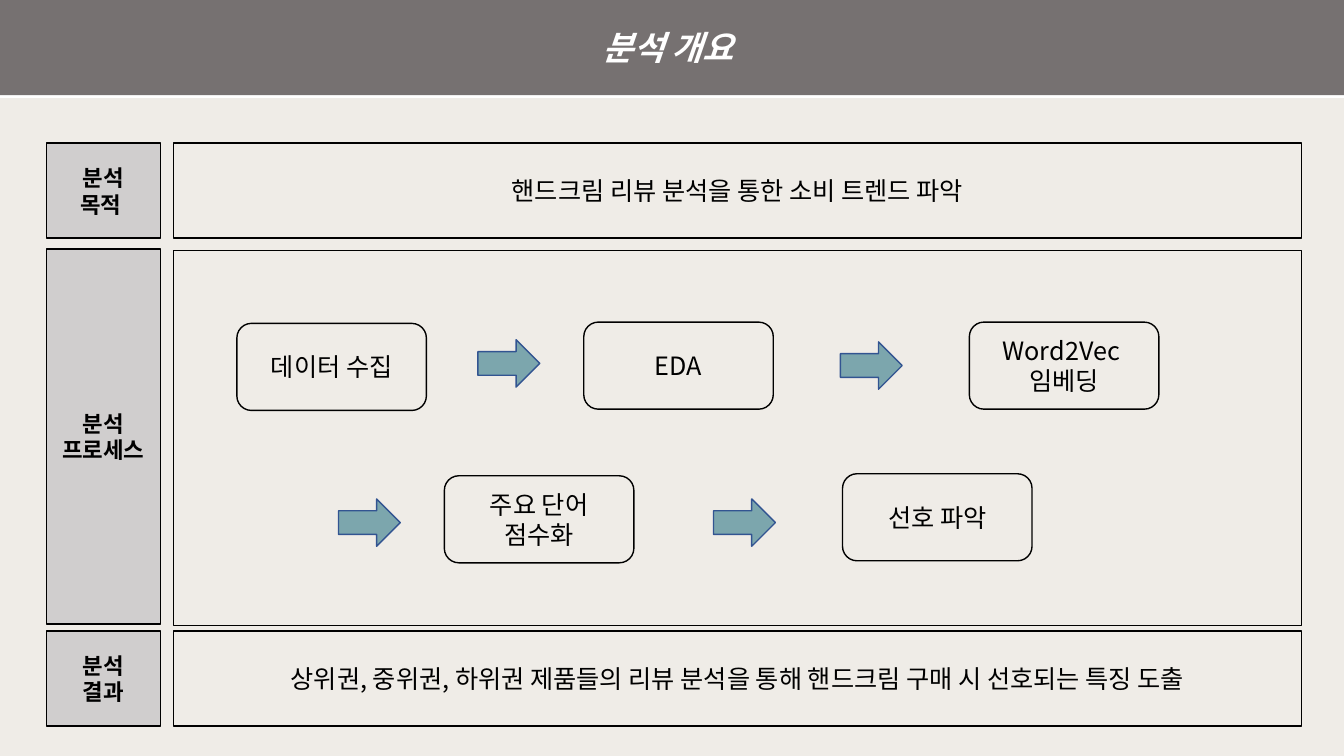
from lxml.etree import SubElement
from pptx import Presentation
from pptx.dml.color import RGBColor
from pptx.enum.shapes import MSO_SHAPE
from pptx.enum.text import MSO_ANCHOR, MSO_AUTO_SIZE, PP_ALIGN
from pptx.oxml.ns import qn
from pptx.util import Inches, Pt

FONT = "Noto Sans CJK KR"
COLORS = {
    "paper": "EFECE7",
    "band": "767171",
    "label": "D0CECE",
    "arrow": "7CA6AD",
    "arrow_line": "325491",
    "ink": "000000",
    "white": "FFFFFF",
}
COLUMNS, ROWS = 160, 90


def color(name):
    return RGBColor.from_string(COLORS[name])


def write_text(shape, text, size=18, ink="ink", bold=False, italic=False):
    """Centre the text in the shape, one paragraph per line."""
    frame = shape.text_frame
    frame.auto_size = MSO_AUTO_SIZE.NONE
    frame.word_wrap = True
    frame.vertical_anchor = MSO_ANCHOR.MIDDLE
    frame.text = text
    for paragraph in frame.paragraphs:
        paragraph.alignment = PP_ALIGN.CENTER
        for run in paragraph.runs:
            font = run.font
            font.name, font.size = FONT, Pt(size)
            font.bold, font.italic = bold, italic
            font.color.rgb = color(ink)
            SubElement(font._element, qn("a:ea"), typeface=FONT)


class SlideBuilder:
    """Places elements on a grid of COLUMNS by ROWS square cells."""

    def __init__(self, presentation):
        self.cell_width = presentation.slide_width / COLUMNS
        self.cell_height = presentation.slide_height / ROWS
        self.slide = presentation.slides.add_slide(presentation.slide_layouts[5])
        background = self.slide.background.fill
        background.solid()
        background.fore_color.rgb = color("paper")

    def area(self, column, row, width, height):
        return (round(column * self.cell_width), round(row * self.cell_height),
                round(width * self.cell_width), round(height * self.cell_height))

    def title(self, text, height):
        """Turn the title into a full-width band with a white lower edge."""
        title = self.slide.shapes.title
        title.left, title.top, title.width, title.height = self.area(0, 0, COLUMNS, height)
        title.fill.solid()
        title.fill.fore_color.rgb = color("band")
        write_text(title, text, size=24, ink="white", bold=True, italic=True)
        effects = SubElement(title._element.spPr, qn("a:effectLst"))
        shadow = SubElement(effects, qn("a:outerShdw"), blurRad="0", dist=str(Pt(2)),
                            dir="5400000", algn="t", rotWithShape="0")
        SubElement(shadow, qn("a:srgbClr"), val=COLORS["white"])

    def shape(self, kind, area, fill="paper", line="ink"):
        shape = self.slide.shapes.add_shape(kind, *self.area(*area))
        shape.shadow.inherit = False
        shape.fill.solid()
        shape.fill.fore_color.rgb = color(fill)
        shape.line.color.rgb = color(line)
        shape.line.width = Pt(1)
        return shape

    def section(self, label, content, label_row, content_row, height):
        """Draw a grey label on the left and its wide panel on the right."""
        label_box = self.shape(MSO_SHAPE.RECTANGLE, (5.52, label_row, 13.6, height), "label")
        write_text(label_box, label, size=16, bold=True)
        panel = self.shape(MSO_SHAPE.RECTANGLE, (20.64, content_row, 134.28, height))
        if content:
            write_text(panel, content)

    def step(self, text, column, row):
        box = self.shape(MSO_SHAPE.ROUNDED_RECTANGLE, (column, row, 22.56, 10.36))
        write_text(box, text)

    def arrow(self, column, row):
        self.shape(MSO_SHAPE.RIGHT_ARROW, (column, row, 7.36, 5.64), "arrow", "arrow_line")


SECTIONS = [
    ("분석\n목적 ", "핸드크림 리뷰 분석을 통한 소비 트렌드 파악", 17.04, 17.04, 11.32),
    ("분석\n프로세스", "", 29.64, 29.8, 44.64),
    ("분석\n결과",
     "상위권, 중위권, 하위권 제품들의 리뷰 분석을 통해 핸드크림 구매 시 선호되는 특징 도출",
     75.12, 75.12, 11.32),
]
STEPS = [
    ("데이터 수집", 28.2, 38.5),
    ("EDA", 69.5, 38.35),
    ("Word2Vec \n임베딩", 115.4, 38.35),
    ("주요 단어\n점수화", 52.9, 56.64),
    ("선호 파악", 100.3, 56.4),
]
ARROWS = [(56.9, 40.45), (100.05, 40.7), (40.3, 59.4), (84.95, 59.4)]


def main():
    presentation = Presentation()
    presentation.slide_width = Inches(13.333)
    presentation.slide_height = Inches(7.5)
    builder = SlideBuilder(presentation)
    builder.title("분석 개요 ", 11.32)
    for section in SECTIONS:
        builder.section(*section)
    for step in STEPS:
        builder.step(*step)
    for arrow in ARROWS:
        builder.arrow(*arrow)
    presentation.save("out.pptx")


if __name__ == "__main__":
    main()
